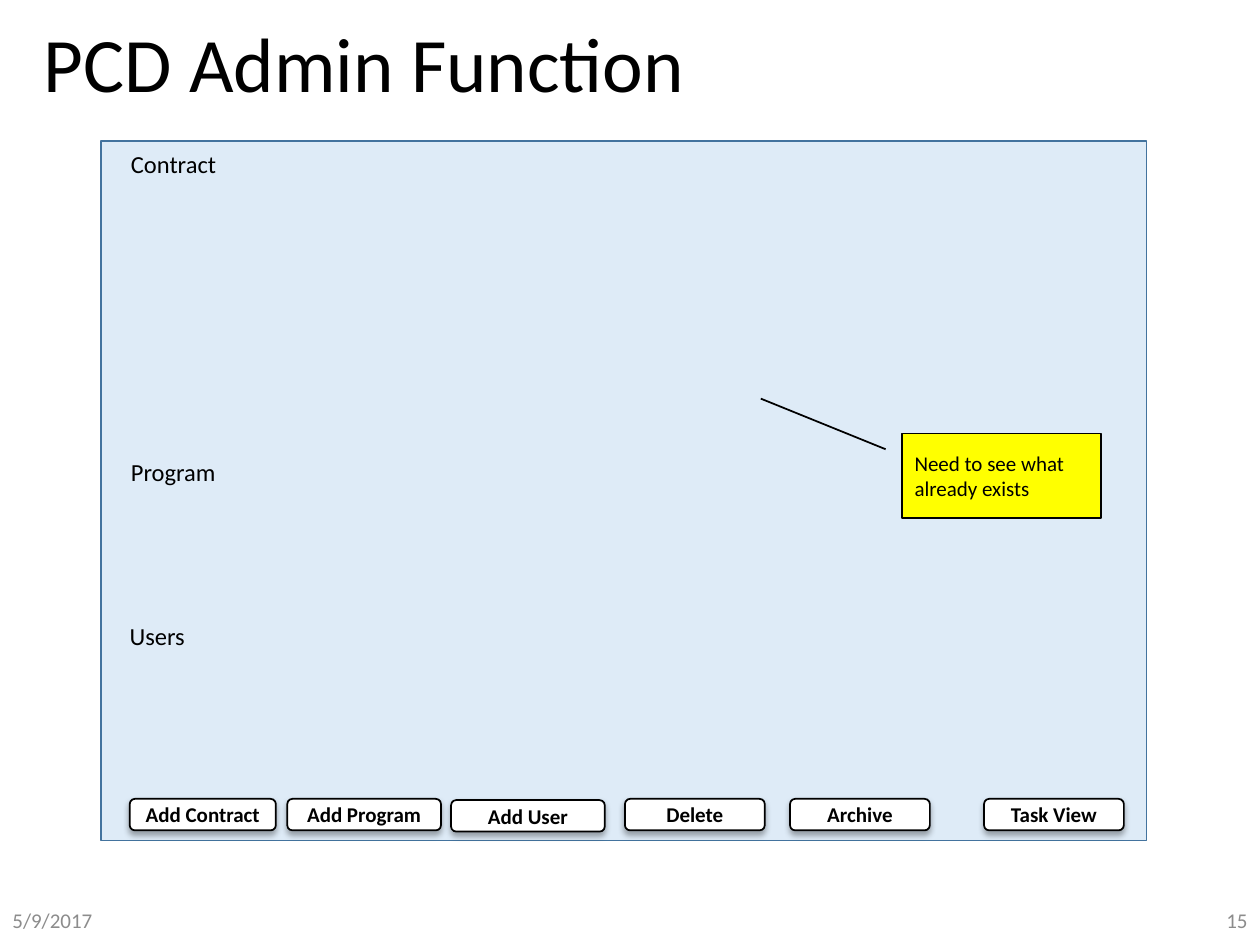
from lxml import etree
from pptx import Presentation
from pptx.dml.color import RGBColor
from pptx.enum import shapes, text
from pptx.oxml.ns import qn
from pptx.util import Inches, Pt

COLORS = {"ink": "000000", "muted": "8C8C8C", "panel": "DEEBF7",
          "panel_edge": "43739E", "note": "FFFF00", "button": "FFFFFF"}
LEFT, CENTER, RIGHT = text.PP_ALIGN.LEFT, text.PP_ALIGN.CENTER, text.PP_ALIGN.RIGHT
TOP, MIDDLE = text.MSO_ANCHOR.TOP, text.MSO_ANCHOR.MIDDLE
KIND = shapes.MSO_SHAPE

deck = Presentation()
deck.slide_width, deck.slide_height = Inches(10), Inches(7.5)
page = deck.slides.add_slide(deck.slide_layouts[6])

# Grid of 100 columns by 75 rows
COLUMN, ROW = deck.slide_width / 100, deck.slide_height / 75


def add_box(kind, column, row, columns, rows, fill=None, line=None):
    """Place a shape on the grid; without a kind it is a text box."""
    place = [round(v) for v in (column * COLUMN, row * ROW, columns * COLUMN, rows * ROW)]
    if kind is None:
        return page.shapes.add_textbox(*place)
    box = page.shapes.add_shape(kind, *place)
    box.shadow.inherit = False
    box.fill.solid()
    box.fill.fore_color.rgb = RGBColor.from_string(COLORS[fill])
    if line:
        box.line.color.rgb = RGBColor.from_string(COLORS[line])
        box.line.width = Pt(1)
    else:
        box.line.fill.background()
    return box


def write(box, words, size, color="ink", align=LEFT, anchor=MIDDLE, bold=False, wrap=True):
    frame = box.text_frame
    frame.text = words
    frame.word_wrap = wrap
    frame.vertical_anchor = anchor
    para = frame.paragraphs[0]
    para.alignment = align
    font = para.runs[0].font
    font.name, font.size, font.bold = "Calibri", Pt(size), bold
    font.color.rgb = RGBColor.from_string(COLORS[color])
    return para


# Title and footer
title = write(add_box(None, 2.5, 1, 86.2, 8.7), "PCD Admin Function", 44)
title.line_spacing = 0.9
write(add_box(None, 0, 71, 22.5, 4), "5/9/2017", 12, "muted")
write(add_box(None, 77.5, 71, 22.5, 4), "15", 12, "muted", RIGHT)

# Panel with its section labels
add_box(KIND.RECTANGLE, 8, 11.2, 83, 55.5, "panel", "panel_edge")
for label, column, row in [("Contract", 9.4, 11.3), ("Program", 9.4, 35.8),
                           ("Users", 9.3, 48.8)]:
    write(add_box(KIND.RECTANGLE, column, row, 9.5, 3.4, "panel"), label, 14, anchor=TOP)

# Row of buttons with a soft shadow below
for label, column, row, columns in [
        ("Add Contract", 10.3, 63.4, 11.6), ("Add Program", 22.8, 63.4, 12.2),
        ("Add User", 35.8, 63.5, 12.2), ("Delete", 49.6, 63.4, 11.1),
        ("Archive", 62.7, 63.4, 11.1), ("Task View", 78.1, 63.4, 11.1)]:
    button = add_box(KIND.ROUNDED_RECTANGLE, column, row, columns, 2.5, "button", "ink")
    write(button, label, 12, align=CENTER, bold=True, wrap=False)
    effects = button._element.spPr.find(qn("a:effectLst"))
    shadow = etree.SubElement(effects, qn("a:outerShdw"), blurRad=str(Pt(3.5)),
                              dist=str(Pt(2.2)), dir="5400000", rotWithShape="0")
    shade = etree.SubElement(shadow, qn("a:srgbClr"), val=COLORS["ink"])
    etree.SubElement(shade, qn("a:alpha"), val="32000")

# Callout note
note = add_box(KIND.LINE_CALLOUT_1, 71.6, 34.4, 15.8, 6.7, "note", "ink")
for index, value in enumerate([0.188, -0.083, -0.412, -0.71]):
    note.adjustments[index] = value
write(note, "Need to see what already exists", 12)

deck.save("out.pptx")
